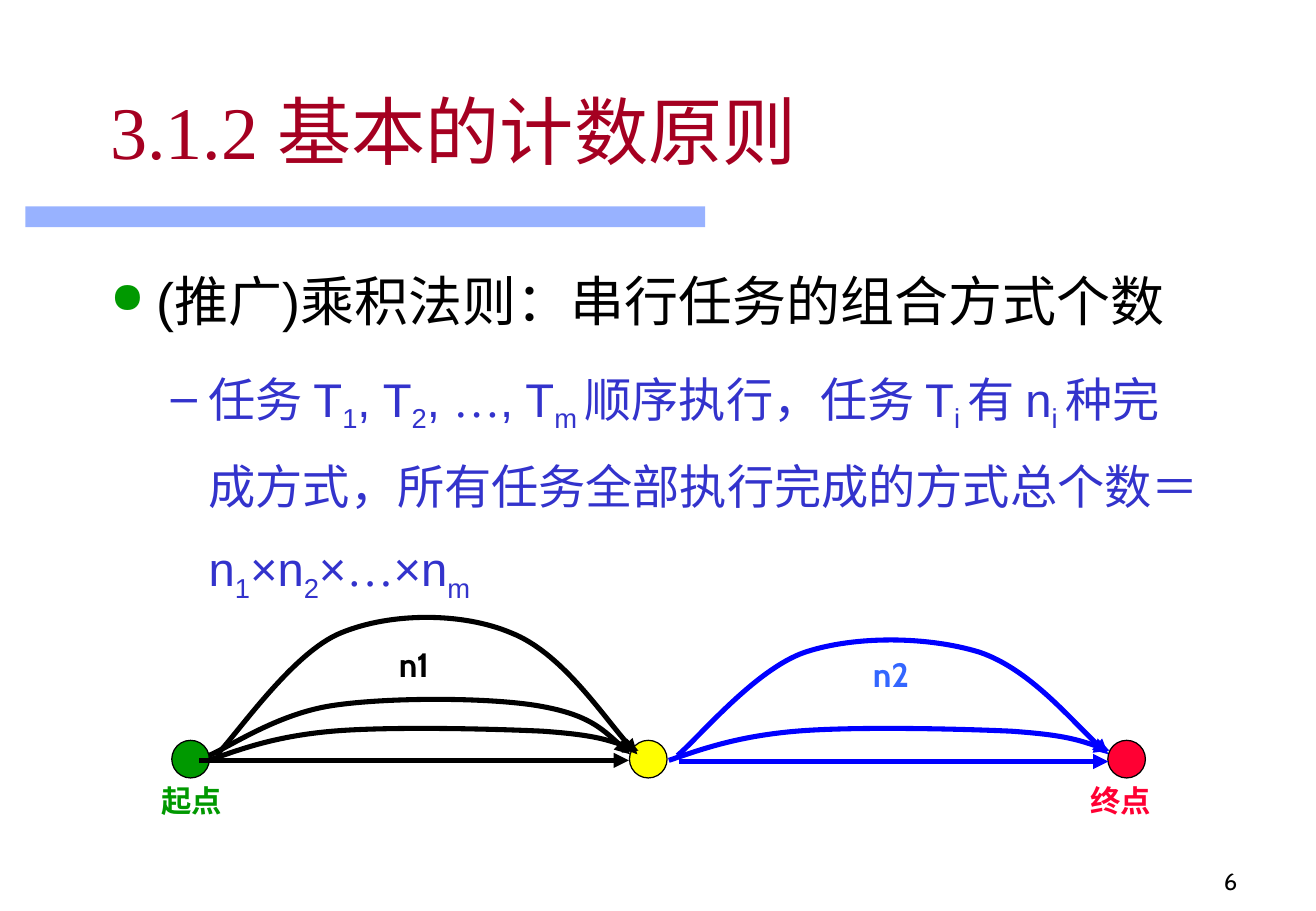
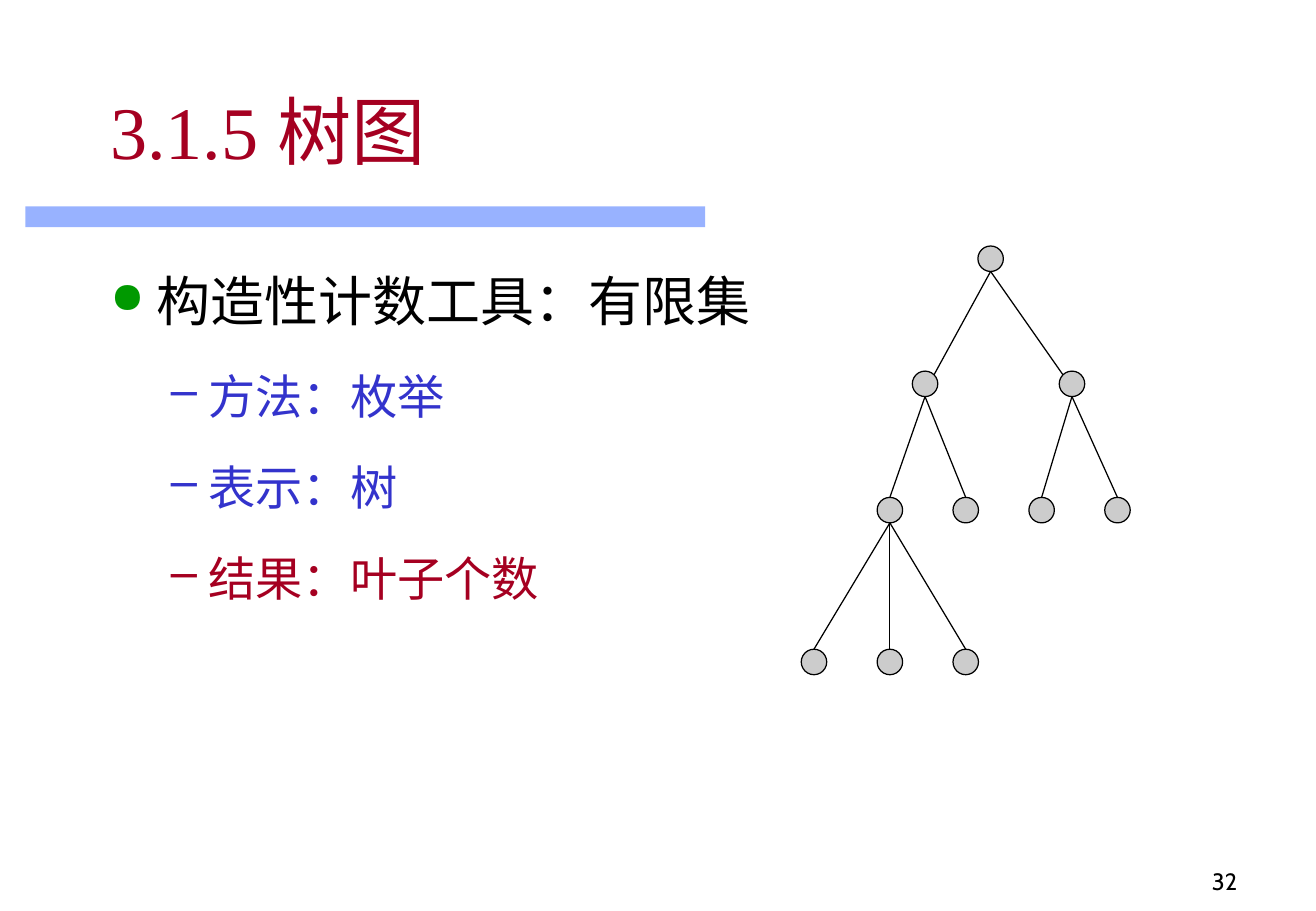
from dataclasses import dataclass
from typing import Optional

import pptx
import pptx.dml.color
import pptx.enum.shapes
import pptx.enum.text
import pptx.oxml
import pptx.oxml.ns
import pptx.shapes.base
import pptx.slide
import pptx.util
from pptx.dml.color import RGBColor
from pptx.util import Inches

BLACK = RGBColor(0x00, 0x00, 0x00)
CRIMSON = RGBColor(0xA5, 0x00, 0x21)
INDIGO = RGBColor(0x33, 0x33, 0xCC)
GREEN = RGBColor(0x00, 0x99, 0x00)
RED = RGBColor(0xFF, 0x00, 0x33)
YELLOW = RGBColor(0xFF, 0xFF, 0x00)
BLUE = RGBColor(0x00, 0x00, 0xFF)
BAND_BLUE = RGBColor(0x33, 0x66, 0xFF)
GREY = RGBColor(0xCC, 0xCC, 0xCC)

BODY_FONT = "Arial"
TITLE_FONT = "Times New Roman"
LABEL_FONT = "Cabin"

ALIGN = pptx.enum.text.PP_ALIGN
ANCHOR = pptx.enum.text.MSO_ANCHOR
PRESET = pptx.enum.shapes.MSO_SHAPE

Point = tuple[float, float]


@dataclass(frozen=True)
class Piece:
    text: str
    subscript: bool = False
    font: str = BODY_FONT


@dataclass(frozen=True)
class Level:
    size: int
    margin: float
    hanging: float
    space_before: int
    bullet: str
    bullet_percent: int


@dataclass(frozen=True)
class Item:
    level: int
    pieces: tuple[Piece, ...]
    color: RGBColor
    bullet_color: RGBColor


@dataclass(frozen=True)
class Label:
    text: str
    center: Point
    size: int
    color: RGBColor


@dataclass(frozen=True)
class Node:
    """A tree node; side_entry makes its edge arrive at the corner facing the parent."""
    x: float
    y: float
    parent: Optional[int] = None
    side_entry: bool = False


LEVELS = (Level(32, 0.38, 0.38, 8, "●", 80), Level(28, 0.81, 0.31, 7, "–", 100))


def topic(text: str) -> Item:
    return Item(0, (Piece(text),), BLACK, GREEN)


def detail(*pieces: Piece, color: RGBColor = INDIGO) -> Item:
    return Item(1, pieces, color, color)


def sub(text: str) -> Piece:
    return Piece(text, subscript=True)


ELLIPSIS = Piece("…", font=TITLE_FONT)

PRODUCT_RULE = (
    topic("(推广)乘积法则：串行任务的组合方式个数"),
    detail(
        Piece("任务 T"), sub("1"), Piece(", T"), sub("2"), Piece(", "), ELLIPSIS,
        Piece(", T"), sub("m "), Piece("顺序执行，任务 T"), sub("i "),
        Piece("有 n"), sub("i "),
        Piece("种完成方式，所有任务全部执行完成的方式总个数＝n"), sub("1"),
        Piece("×n"), sub("2"), Piece("×"), ELLIPSIS, Piece("×n"), sub("m"),
    ),
)

TREE_RULE = (
    topic("构造性计数工具：有限集"),
    detail(Piece("方法：枚举")),
    detail(Piece("表示：树")),
    detail(Piece("结果：叶子个数"), color=CRIMSON),
)

STOP_SIZE = 0.31
STOPS = (((1.57, 6.25), GREEN), ((5.34, 6.25), YELLOW), ((9.28, 6.25), RED))

LABELS = (
    Label("起点", (1.58, 6.59), 18, GREEN),
    Label("终点", (9.23, 6.59), 18, RED),
    Label("n1", (3.41, 5.47), 20, BLACK),
    Label("n2", (7.34, 5.55), 20, BAND_BLUE),
)

# Each route is a start point followed by control, control, end for every curve.
FIRST_ROUTES = (
    ((1.72, 6.26), (2, 6.16), (2.28, 6.06), (2.74, 6.02), (3.2, 5.98),
     (4.05, 6), (4.47, 6.02), (4.89, 6.05), (5.07, 6.11), (5.26, 6.18)),
    ((1.78, 6.22), (1.95, 6.05), (2.41, 5.37), (2.81, 5.21), (3.22, 5.04),
     (3.81, 5.04), (4.21, 5.21), (4.62, 5.37), (5.04, 6), (5.25, 6.21)),
    ((1.72, 6.22), (1.89, 6.15), (2.28, 5.88), (2.73, 5.81), (3.18, 5.74),
     (4.01, 5.74), (4.43, 5.81), (4.84, 5.88), (5.01, 6.04), (5.19, 6.21)),
)
SECOND_ROUTES = (
    ((5.51, 6.26), (5.8, 6.16), (6.09, 6.06), (6.56, 6.02), (7.03, 5.98),
     (7.9, 6), (8.33, 6.02), (8.76, 6.05), (8.95, 6.11), (9.14, 6.18)),
    ((5.58, 6.22), (5.75, 6.08), (6.22, 5.51), (6.63, 5.37), (7.05, 5.23),
     (7.65, 5.24), (8.07, 5.37), (8.48, 5.51), (8.91, 6.03), (9.13, 6.21)),
)

NODE_SIZE = 0.21
LEAF_GAP = 0.625
TREE = (
    Node(8.16, 2.13),
    Node(7.62, 3.16, 0, True),
    Node(8.83, 3.16, 0, True),
    *(Node(7.33 + LEAF_GAP * i, 4.2, 1 + i // 2) for i in range(4)),
    *(Node(7.33 + LEAF_GAP * i, 5.45, 3) for i in (-1, 0, 1)),
)


def add_xml(parent, tag: str, **attributes: str):
    return pptx.oxml.ns and _append(parent, tag, attributes)


def _append(parent, tag: str, attributes: dict[str, str]):
    element = parent.makeelement(pptx.oxml.ns.qn(tag), attributes)
    parent.append(element)
    return element


def add_text_box(slide: pptx.slide.Slide, left: float, top: float, width: float,
                 height: float, anchor: ANCHOR):
    shape = slide.shapes.add_textbox(Inches(left), Inches(top), Inches(width), Inches(height))
    frame = shape.text_frame
    frame.word_wrap = True
    frame.vertical_anchor = anchor
    return frame


def add_run(paragraph, text: str, font: str, size: int, color: RGBColor, bold: bool = False):
    run = paragraph.add_run()
    run.text = text
    run.font.name = font
    run.font.size = pptx.util.Pt(size)
    run.font.bold = bold
    run.font.color.rgb = color
    return run


def add_filled(slide: pptx.slide.Slide, preset: PRESET, left: float, top: float,
               width: float, height: float, color: RGBColor) -> pptx.shapes.base.BaseShape:
    shape = slide.shapes.add_shape(
        preset, Inches(left), Inches(top), Inches(width), Inches(height))
    shape.shadow.inherit = False
    shape.fill.solid()
    shape.fill.fore_color.rgb = color
    return shape


def add_circle(slide: pptx.slide.Slide, center: Point, size: float, color: RGBColor) -> None:
    x, y = center
    shape = add_filled(slide, PRESET.OVAL, x - size / 2, y - size / 2, size, size, color)
    style_line(shape, BLACK, 0.75)


def style_line(shape, color: RGBColor, width: float, arrow: bool = False) -> None:
    shape.line.color.rgb = color
    shape.line.width = pptx.util.Pt(width)
    if arrow:
        add_xml(shape.line._get_or_add_ln(), "a:tailEnd", type="triangle")


def add_line(slide: pptx.slide.Slide, start: Point, end: Point, color: RGBColor,
             width: float, arrow: bool = False) -> None:
    ends = (Inches(value) for value in (*start, *end))
    connector = slide.shapes.add_connector(pptx.enum.shapes.MSO_CONNECTOR.STRAIGHT, *ends)
    style_line(connector, color, width, arrow)
    add_xml(connector._element.spPr, "a:effectLst")


def add_route(slide: pptx.slide.Slide, points: tuple[Point, ...], color: RGBColor) -> None:
    """Draw a curved arrow, turning every three segments into one cubic curve."""
    scaled = [(Inches(x), Inches(y)) for x, y in points]
    builder = slide.shapes.build_freeform(*scaled[0])
    builder.add_line_segments(scaled[1:], close=False)
    shape = builder.convert_to_shape()
    shape.shadow.inherit = False
    shape.fill.background()
    style_line(shape, color, 3, arrow=True)
    segments = list(shape._element.iter(pptx.oxml.ns.qn("a:lnTo")))
    outline = segments[0].getparent()
    for first in range(0, len(segments), 3):
        curve = add_xml(outline, "a:cubicBezTo")
        for segment in segments[first:first + 3]:
            curve.append(segment[0])
            outline.remove(segment)


def add_item(paragraph, item: Item, is_first: bool) -> None:
    level = LEVELS[item.level]
    paragraph.level = item.level
    paragraph.line_spacing = 1.4
    if not is_first:
        paragraph.space_before = pptx.util.Pt(level.space_before)
    properties = paragraph._p.get_or_add_pPr()
    properties.set("marL", str(Inches(level.margin)))
    properties.set("indent", str(-Inches(level.hanging)))
    add_xml(add_xml(properties, "a:buClr"), "a:srgbClr", val=str(item.bullet_color))
    add_xml(properties, "a:buSzPct", val=str(level.bullet_percent * 1000))
    add_xml(properties, "a:buChar", char=level.bullet)
    for piece in item.pieces:
        run = add_run(paragraph, piece.text, piece.font, level.size, item.color)
        if piece.subscript:
            run._r.get_or_add_rPr().set("baseline", "-25000")


def add_base_slide(presentation, title: str, items: tuple[Item, ...],
                   number: int) -> pptx.slide.Slide:
    """Add a slide with the band, title, bulleted body and page number."""
    slide = presentation.slides.add_slide(presentation.slide_layouts[6])
    band = add_filled(slide, PRESET.RECTANGLE, 0.21, 1.7, 5.6, 0.17, BAND_BLUE)
    band.line.fill.background()
    band_color = next(band._element.spPr.iter(pptx.oxml.ns.qn("a:srgbClr")))
    add_xml(band_color, "a:alpha", val="50000")

    footer = add_text_box(slide, 8.03, 6.92, 2.26, 0.5, ANCHOR.BOTTOM).paragraphs[0]
    footer.alignment = ALIGN.RIGHT
    add_run(footer, str(number), LABEL_FONT, 14, BLACK)

    heading = add_text_box(slide, 0.81, 0.44, 9.21, 1.25, ANCHOR.MIDDLE).paragraphs[0]
    add_run(heading, title, TITLE_FONT, 44, CRIMSON)

    body = add_text_box(slide, 0.81, 1.94, 9.21, 4.88, ANCHOR.TOP)
    for index, item in enumerate(items):
        paragraph = body.add_paragraph() if index else body.paragraphs[0]
        add_item(paragraph, item, is_first=index == 0)
    return slide


def draw_routes(slide: pptx.slide.Slide) -> None:
    for center, color in STOPS:
        add_circle(slide, center, STOP_SIZE, color)
    add_line(slide, (1.64, 6.26), (5.18, 6.26), BLACK, 3, arrow=True)
    add_line(slide, (5.59, 6.27), (9.13, 6.27), BLUE, 3, arrow=True)
    for routes, color in ((FIRST_ROUTES, BLACK), (SECOND_ROUTES, BLUE)):
        for points in routes:
            add_route(slide, points, color)
    for label in LABELS:
        x, y = label.center
        frame = add_text_box(slide, x - 0.51, y - 0.25, 1.02, 0.5, ANCHOR.MIDDLE)
        frame.paragraphs[0].alignment = ALIGN.CENTER
        add_run(frame.paragraphs[0], label.text, LABEL_FONT, label.size, label.color, bold=True)


def draw_tree(slide: pptx.slide.Slide) -> None:
    radius = NODE_SIZE / 2
    corner = radius * 0.7
    for node in TREE:
        add_circle(slide, (node.x, node.y), NODE_SIZE, GREY)
        if node.parent is None:
            continue
        parent = TREE[node.parent]
        end = (node.x, node.y - radius)
        if node.side_entry:
            toward = 1 if parent.x > node.x else -1
            end = (node.x + toward * corner, node.y - corner)
        add_line(slide, (parent.x, parent.y + radius), end, BLACK, 0.75)


def main() -> None:
    presentation = pptx.Presentation()
    presentation.slide_width = Inches(10.84)
    presentation.slide_height = Inches(7.5)
    draw_routes(add_base_slide(presentation, "3.1.2 基本的计数原则", PRODUCT_RULE, 6))
    draw_tree(add_base_slide(presentation, "3.1.5 树图", TREE_RULE, 32))
    presentation.save("out.pptx")


if __name__ == "__main__":
    main()
